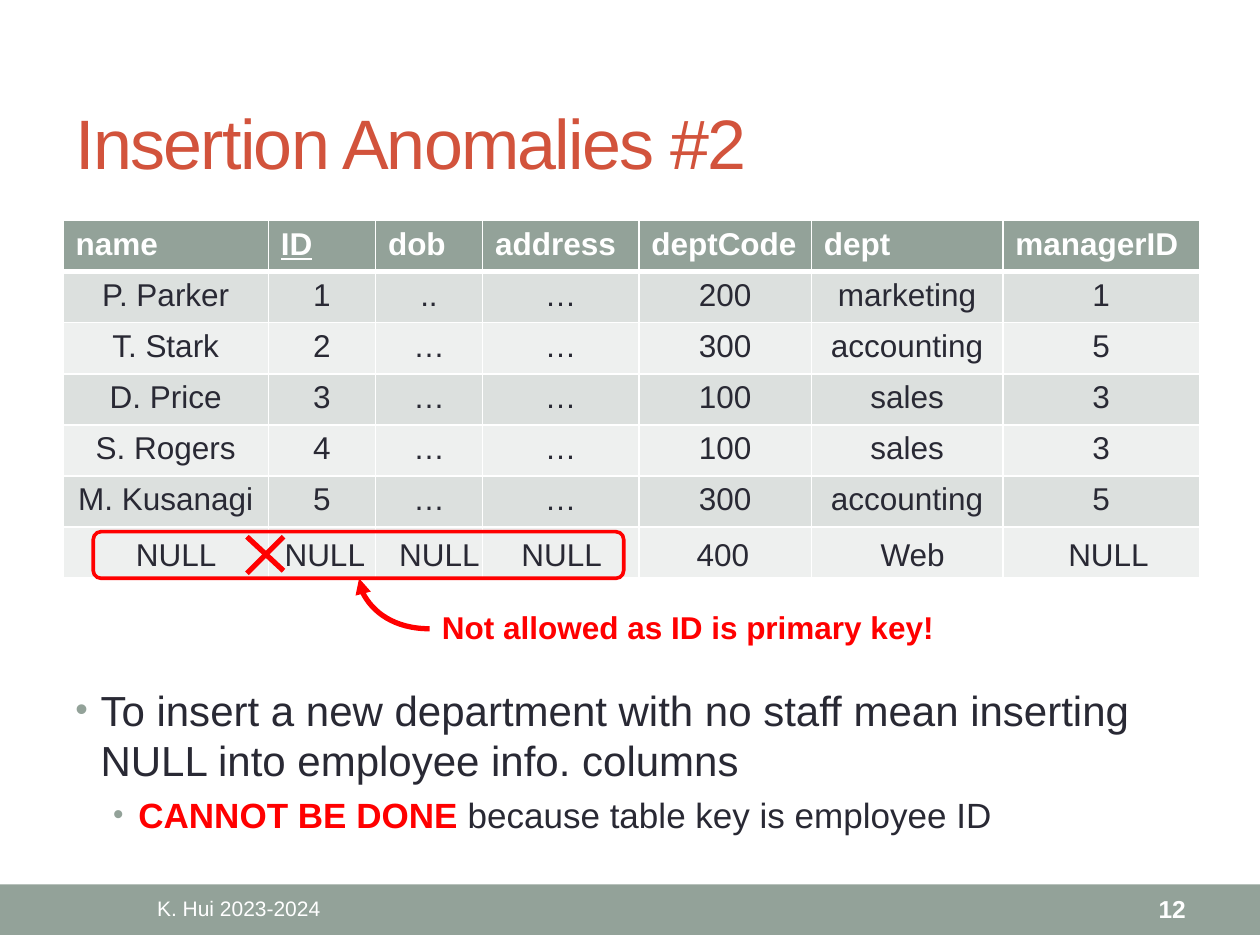
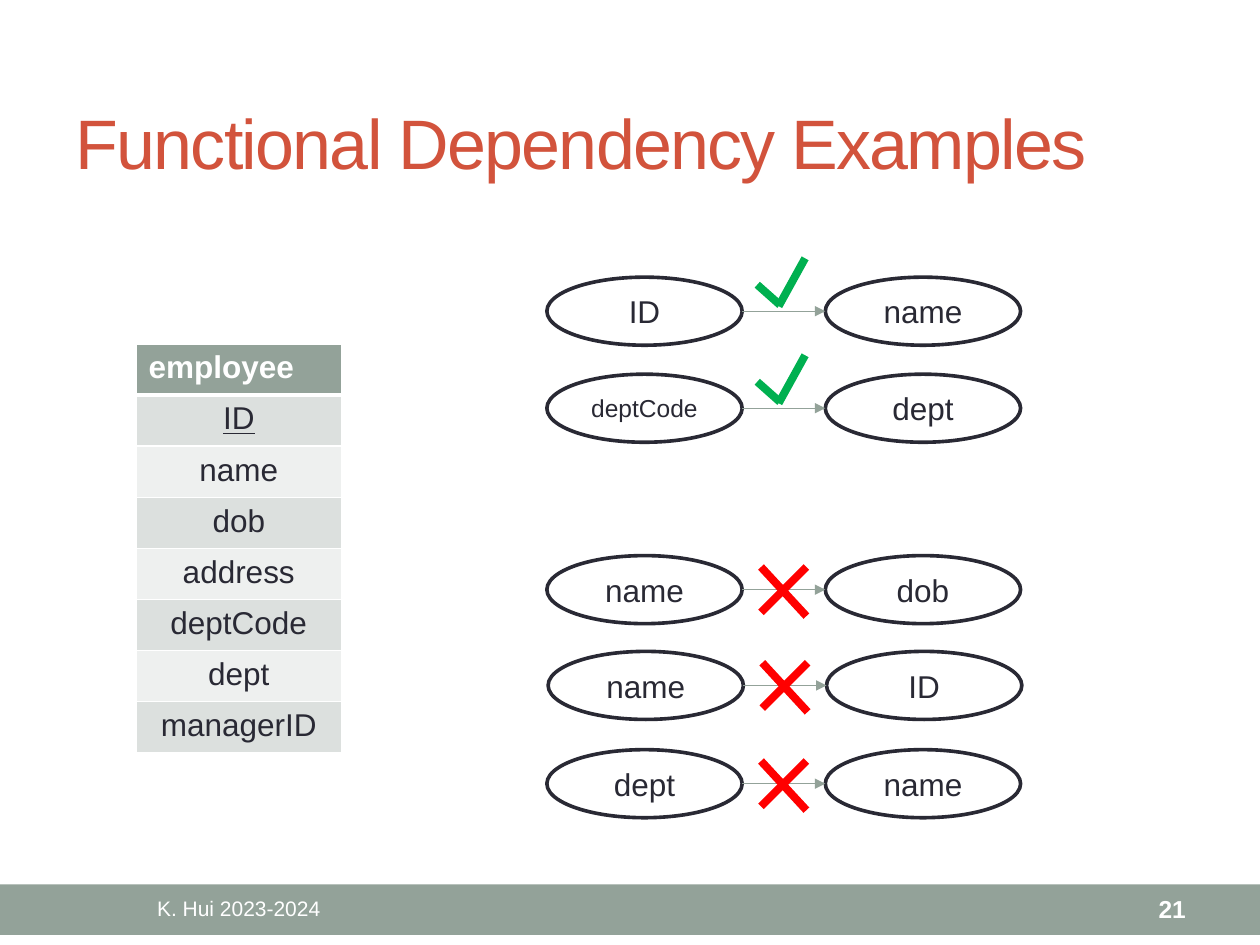
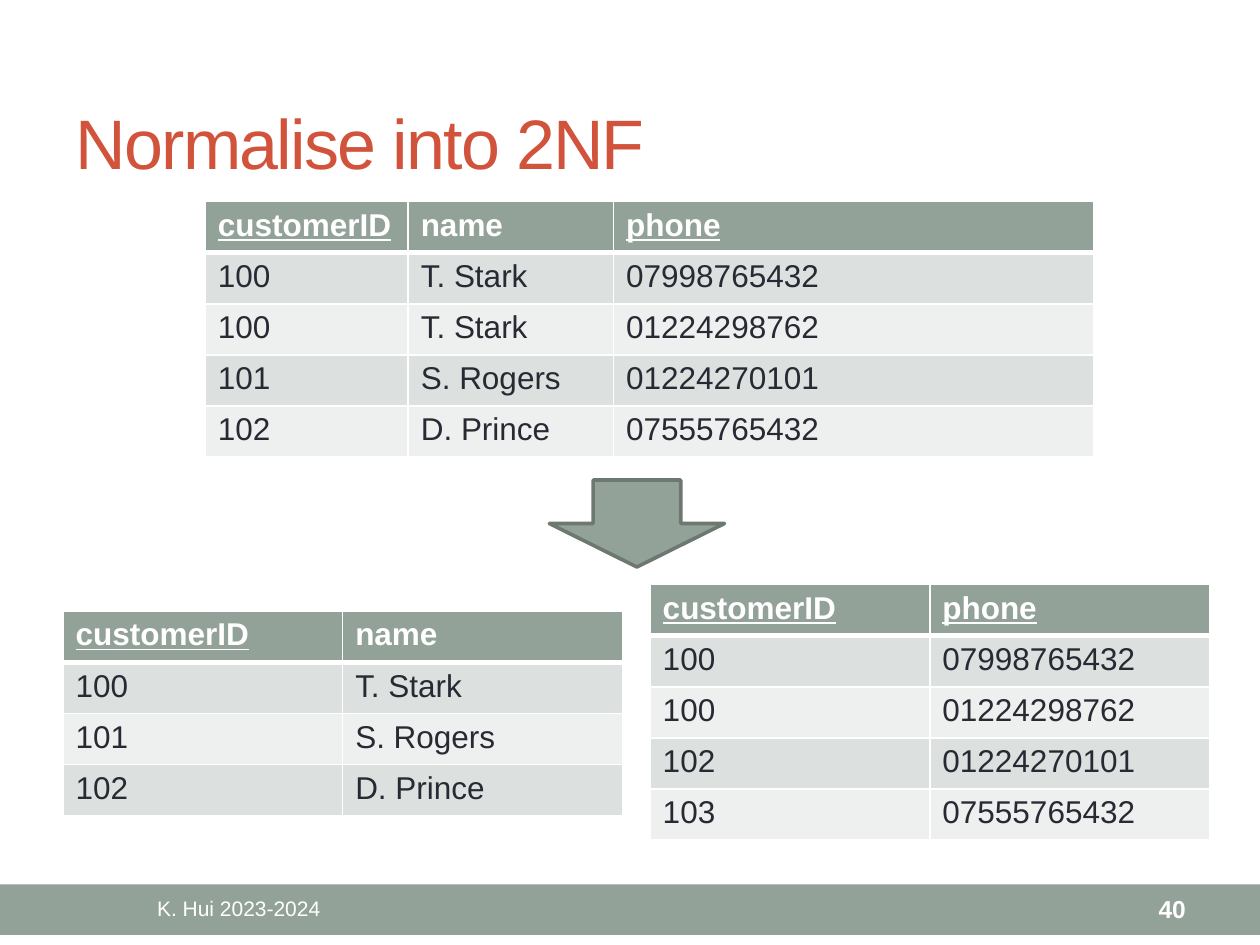
from dataclasses import dataclass

from lxml.etree import SubElement
from pptx import Presentation
from pptx.dml.color import RGBColor
from pptx.enum.shapes import MSO_CONNECTOR, MSO_SHAPE
from pptx.enum.text import MSO_ANCHOR, MSO_AUTO_SIZE, PP_ALIGN
from pptx.oxml.ns import qn
from pptx.util import Inches, Pt


@dataclass(frozen=True)
class Theme:
    font: str = "Arial"
    sage: str = "93A299"
    sage_dark: str = "6D7871"
    rust: str = "D2533C"
    ink: str = "292934"
    white: str = "FFFFFF"
    red: str = "FF0000"
    green: str = "00B050"
    bands: tuple = ("DCE0DE", "EEF0EF")
    title: int = 40
    bullet: int = 24
    sub_bullet: int = 20
    body: int = 18
    small: int = 14
    footer: int = 12
    outline: float = 2.08


T = Theme()
ROW_H = Inches(2.84) // 7

# Content: a leading "_" in a cell underlines a key column
FOOTER = "K. Hui 2023-2024"

STAFF = [
    ["name", "_ID", "dob", "address", "deptCode", "dept", "managerID"],
    ["P. Parker", "1", "..", "…", "200", "marketing", "1"],
    ["T. Stark", "2", "…", "…", "300", "accounting", "5"],
    ["D. Price", "3", "…", "…", "100", "sales", "3"],
    ["S. Rogers", "4", "…", "…", "100", "sales", "3"],
    ["M. Kusanagi", "5", "…", "…", "300", "accounting", "5"],
    [""] * 7,
]
STAFF_COLS = [1.63, 0.85, 0.85, 1.24, 1.37, 1.52, 1.56]
NEW_ROW = ["NULL", "NULL", "NULL", "NULL", "400", "Web", "NULL"]
NEW_ROW_TABS = [1.18, 2.09, 3.06, 4.45, 5.91, 7.4]
WARNING = "Not allowed as ID is primary key!"
BULLETS = [
    (0, T.bullet, [("To insert a new department with no staff mean inserting "
                    "NULL into employee info. columns", T.ink, False)]),
    (1, T.sub_bullet, [("CANNOT BE DONE ", T.red, True),
                       ("because table key is employee ID", T.ink, False)]),
]

EMPLOYEE = [["employee"], ["_ID"], ["name"], ["dob"], ["address"],
            ["deptCode"], ["dept"], ["managerID"]]
# left, top, determinant, its size, dependent, mark
DEPENDENCIES = [
    (4.34, 2.2, "ID", T.body, "name", "tick"),
    (4.34, 2.97, "deptCode", T.small, "dept", "tick"),
    (4.34, 4.41, "name", T.body, "dob", "cross"),
    (4.35, 5.17, "name", T.body, "ID", "cross"),
    (4.34, 5.95, "dept", T.body, "name", "cross"),
]
# Strokes as x1, y1, x2, y2 from the corner of the left ellipse
MARKS = {
    "tick": (T.green, [(1.67, 0.06, 1.85, 0.22), (1.84, 0.23, 2.05, -0.15)]),
    "cross": (T.red, [(1.7, 0.09, 2.06, 0.48), (1.7, 0.45, 2.06, 0.09)]),
}

CUSTOMERS = [
    ["_customerID", "name", "_phone"],
    ["100", "T. Stark", "07998765432"],
    ["100", "T. Stark", "01224298762"],
    ["101", "S. Rogers", "01224270101"],
    ["102", "D. Prince", "07555765432"],
]
NAMES = [["_customerID", "name"], ["100", "T. Stark"],
         ["101", "S. Rogers"], ["102", "D. Prince"]]
PHONES = [["_customerID", "_phone"], ["100", "07998765432"],
          ["100", "01224298762"], ["102", "01224270101"],
          ["103", "07555765432"]]


# Shared helpers
def rgb(code):
    return RGBColor.from_string(code)


def add_run(p, text, size, color, bold=False, underline=False):
    r = p.add_run()
    r.text = text
    f = r.font
    f.name, f.size, f.bold, f.underline = T.font, Pt(size), bold, underline
    f.color.rgb = rgb(color)
    return r


def add_text(s, box, text, size, color, bold=False, align=PP_ALIGN.LEFT,
             anchor=MSO_ANCHOR.TOP, wrap=True):
    tf = s.shapes.add_textbox(*map(Inches, box)).text_frame
    tf.word_wrap, tf.vertical_anchor = wrap, anchor
    p = tf.paragraphs[0]
    p.alignment = align
    add_run(p, text, size, color, bold)
    return p


def add_preset(s, kind, box, fill=None, line=None):
    sp = s.shapes.add_shape(kind, *map(Inches, box))
    sp.shadow.inherit = False
    if fill:
        sp.fill.solid()
        sp.fill.fore_color.rgb = rgb(fill)
    else:
        sp.fill.background()
    if line:
        sp.line.color.rgb = rgb(line)
        sp.line.width = Pt(T.outline)
    else:
        sp.line.fill.background()
    return sp


def add_line(s, ends, color, width, kind=MSO_CONNECTOR.STRAIGHT, arrow=False):
    cx = s.shapes.add_connector(kind, *map(Inches, ends))
    cx.line.color.rgb = rgb(color)
    cx.line.width = Pt(width)
    spPr = cx.element.spPr
    if arrow:
        SubElement(spPr.find(qn("a:ln")), qn("a:tailEnd"), type="triangle")
    SubElement(spPr, qn("a:effectLst"))
    return cx


def set_borders(cell, row):
    widths = {"L": 1, "R": 1, "T": 3 if row == 1 else 1,
              "B": 3 if row == 0 else 1}
    tcPr = cell._tc.get_or_add_tcPr()
    for side, width in widths.items():
        ln = SubElement(tcPr, qn(f"a:ln{side}"), w=str(Pt(width)))
        SubElement(SubElement(ln, qn("a:solidFill")), qn("a:srgbClr"),
                   val=T.white)


def add_grid(s, left, top, cols, rows, align=PP_ALIGN.LEFT):
    table = s.shapes.add_table(
        len(rows), len(cols), Inches(left), Inches(top),
        Inches(sum(cols)), ROW_H * len(rows)).table
    for column, width in zip(table.columns, cols):
        column.width = Inches(width)
    for i, row in enumerate(rows):
        table.rows[i].height = ROW_H
        header = i == 0
        for j, text in enumerate(row):
            cell = table.cell(i, j)
            set_borders(cell, i)
            cell.fill.solid()
            cell.fill.fore_color.rgb = rgb(
                T.sage if header else T.bands[(i - 1) % 2])
            p = cell.text_frame.paragraphs[0]
            p.alignment = PP_ALIGN.LEFT if header else align
            if text:
                add_run(p, text.lstrip("_"), T.body,
                        T.white if header else T.ink, header,
                        text.startswith("_"))


def add_slide(prs, title, number):
    s = prs.slides.add_slide(prs.slide_layouts[5])
    ph = s.shapes.title
    ph.left, ph.top, ph.width, ph.height = map(Inches, (0.5, 0.58, 9, 1.08))
    tf = ph.text_frame
    tf.auto_size, tf.vertical_anchor = MSO_AUTO_SIZE.NONE, MSO_ANCHOR.MIDDLE
    p = tf.paragraphs[0]
    p.alignment = PP_ALIGN.LEFT
    r = add_run(p, title, T.title, T.rust)
    r.font._element.set("spc", "-100")
    add_preset(s, MSO_SHAPE.RECTANGLE, (0, 7.02, 10, 0.4), T.sage)
    add_text(s, (0.5, 7.03, 2.79, 0.36), FOOTER, T.footer, T.white,
             align=PP_ALIGN.CENTER, anchor=MSO_ANCHOR.MIDDLE)
    add_text(s, (8.34, 7.03, 1.17, 0.36), str(number), T.small, T.white, True,
             align=PP_ALIGN.RIGHT, anchor=MSO_ANCHOR.MIDDLE)
    return s


def add_bullets(s, box, items):
    tf = s.shapes.add_textbox(*map(Inches, box)).text_frame
    tf.word_wrap = True
    for i, (level, size, runs) in enumerate(items):
        p = tf.paragraphs[0] if i == 0 else tf.add_paragraph()
        p.level = level
        if i:
            p.space_before = Pt(5)
        pPr = p._p.get_or_add_pPr()
        pPr.set("marL", str(Inches(0.2 + 0.3 * level)))
        pPr.set("indent", str(-Inches(0.2)))
        SubElement(SubElement(pPr, qn("a:buClr")), qn("a:srgbClr"), val=T.sage)
        SubElement(pPr, qn("a:buSzPct"), val="85000")
        SubElement(pPr, qn("a:buFont"), typeface=T.font)
        SubElement(pPr, qn("a:buChar"), char="•")
        for text, color, bold in runs:
            add_run(p, text, size, color, bold)


# Slides
def insertion_slide(prs):
    s = add_slide(prs, "Insertion Anomalies #2", 12)
    add_grid(s, 0.5, 1.75, STAFF_COLS, STAFF, PP_ALIGN.CENTER)
    add_bullets(s, (0.5, 5.38, 9, 1.52), BULLETS)

    # Rejected row and its warning
    add_preset(s, MSO_SHAPE.ROUNDED_RECTANGLE, (0.74, 4.22, 4.21, 0.37),
               line=T.red)
    add_text(s, (3.41, 4.78, 4.14, 0.4), WARNING, T.body, T.red, True,
             wrap=False)
    curve = add_line(s, (2.85, 4.59, 3.41, 4.99), T.red, 3,
                     MSO_CONNECTOR.CURVE, arrow=True)
    spPr = curve.element.spPr
    spPr.find(qn("a:prstGeom")).set("prst", "curvedConnector2")
    spPr.find(qn("a:xfrm")).set("rot", str(180 * 60000))
    for ends in ((1.96, 4.55, 2.25, 4.26), (1.96, 4.26, 2.25, 4.53)):
        add_line(s, ends, T.red, 3)

    # New row, one tab stop per column
    p = add_text(s, (0.98, 4.2, 8.32, 0.4), "\t".join(NEW_ROW), T.body, T.ink)
    tabs = SubElement(p._p.get_or_add_pPr(), qn("a:tabLst"))
    for pos in NEW_ROW_TABS:
        SubElement(tabs, qn("a:tab"), pos=str(Inches(pos)), algn="l")


def dependency_slide(prs):
    s = add_slide(prs, "Functional Dependency Examples", 21)
    add_grid(s, 1.08, 2.73, [1.63], EMPLOYEE, PP_ALIGN.CENTER)
    width, height, step = 1.55, 0.54, 2.21
    for left, top, source, size, target, mark in DEPENDENCIES:
        for x, text, pt in ((left, source, size),
                            (left + step, target, T.body)):
            sp = add_preset(s, MSO_SHAPE.OVAL, (x, top, width, height),
                            T.white, T.ink)
            tf = sp.text_frame
            tf.vertical_anchor = MSO_ANCHOR.MIDDLE
            p = tf.paragraphs[0]
            p.alignment = PP_ALIGN.CENTER
            add_run(p, text, pt, T.ink)
        mid = top + height / 2
        add_line(s, (left + width, mid, left + step, mid), T.sage, 0.75,
                 arrow=True)
        color, strokes = MARKS[mark]
        for x1, y1, x2, y2 in strokes:
            add_line(s, (left + x1, top + y1, left + x2, top + y2), color, 4.5)


def normalise_slide(prs):
    s = add_slide(prs, "Normalise into 2NF", 40)
    add_grid(s, 0.5, 4.85, [2.22] * 2, NAMES)
    add_grid(s, 5.16, 4.64, [2.22] * 2, PHONES)
    add_grid(s, 1.63, 1.6, [1.61, 1.63, 3.81], CUSTOMERS)
    add_preset(s, MSO_SHAPE.DOWN_ARROW, (4.36, 3.81, 1.39, 0.69),
               T.sage, T.sage_dark)


def main():
    prs = Presentation()
    prs.slide_width, prs.slide_height = Inches(10), Inches(7.5)
    insertion_slide(prs)
    dependency_slide(prs)
    normalise_slide(prs)
    prs.save("out.pptx")


if __name__ == "__main__":
    main()
